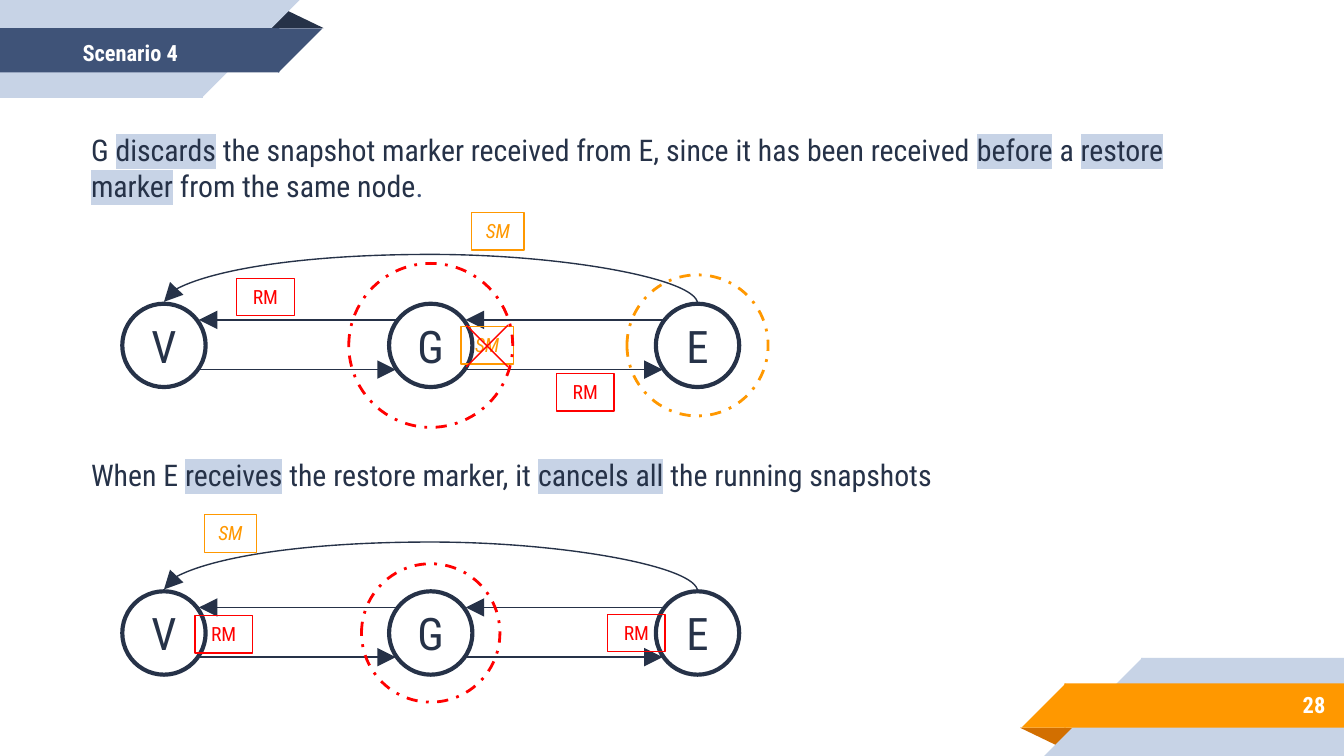
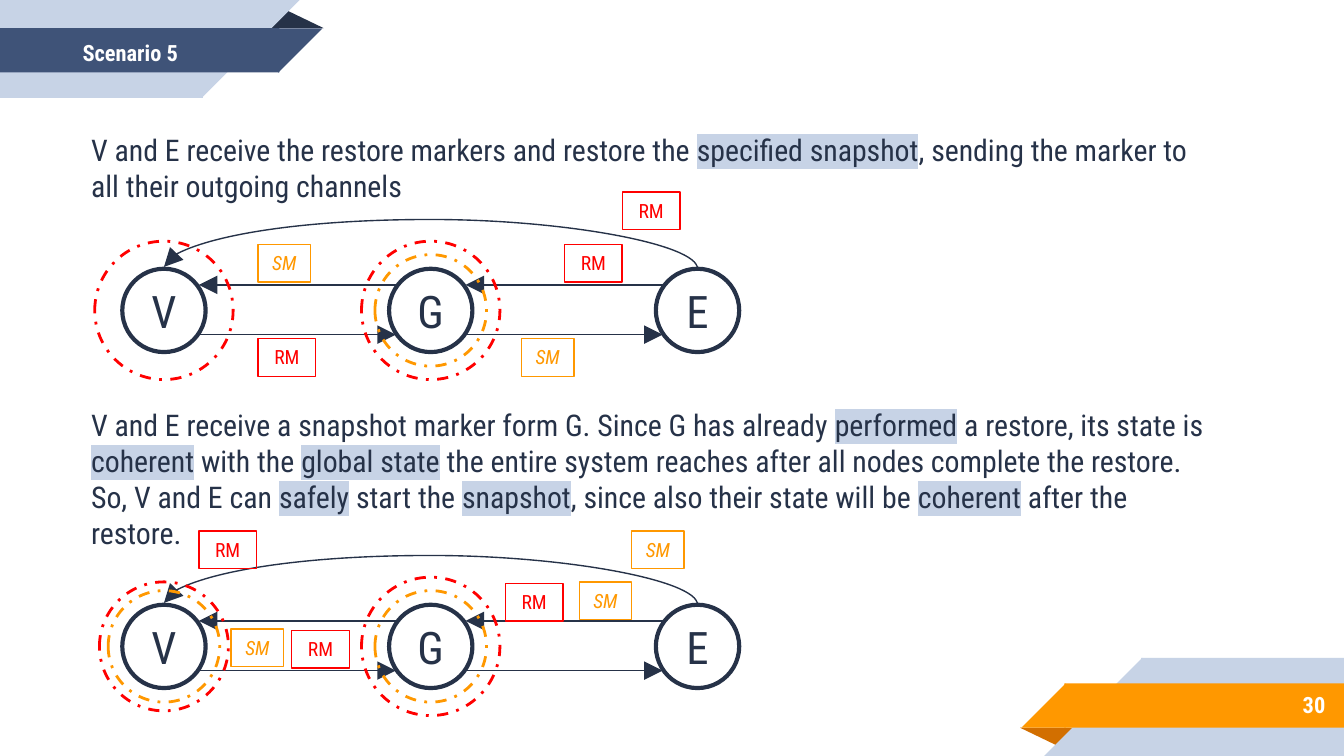
from itertools import pairwise

from pptx import Presentation
from pptx.dml.color import RGBColor
from pptx.enum.dml import MSO_LINE
from pptx.enum.shapes import MSO_CONNECTOR, MSO_SHAPE
from pptx.enum.text import MSO_ANCHOR, MSO_AUTO_SIZE, PP_ALIGN
from pptx.oxml.ns import qn
from pptx.util import Inches, Pt
from lxml.etree import SubElement

NAVY = RGBColor(0x26, 0x32, 0x48)
BLUE = RGBColor(0x3F, 0x53, 0x78)
PALE = RGBColor(0xC7, 0xD3, 0xE6)
ORANGE = RGBColor(0xFF, 0x98, 0x00)
RUST = RGBColor(0xD2, 0x6F, 0x00)
RED = RGBColor(0xFF, 0x00, 0x00)
WHITE = RGBColor(0xFF, 0xFF, 0xFF)
FONT = "Roboto Condensed"

WIDTH = 10
HEIGHT = WIDTH * 9 / 16
NODES = "VGE"
NODE_SIZE, FIRST_LEFT, LAST_LEFT = 0.62, 0.91, 4.88
NODE_PITCH = (LAST_LEFT - FIRST_LEFT) / (len(NODES) - 1)
CENTRES = {name: FIRST_LEFT + NODE_SIZE / 2 + i * NODE_PITCH
           for i, name in enumerate(NODES)}
# marker kind: width, colour, italic
MARKERS = {"RM": (0.43, RED, False), "SM": (0.39, ORANGE, True)}
MARKER_HEIGHT = 0.28

# Starred words are highlighted. Rings: node, diameter, colour.
# Markers: kind, left, top. A cross is a left, top, size square.
SCENARIOS = [
    {"title": "Scenario 4", "page": "28", "steps": [
        {"text": "G *discards* the snapshot marker received from E, since it has been "
                 "received *before* a *restore marker* from the same node",
         "full_stop": ".", "text_top": 0.93, "text_height": 0.64, "node_top": 2.26,
         "rings": [("G", 1.22, RED), ("E", 1.05, ORANGE)],
         "markers": [("RM", 1.76, 2.07), ("RM", 4.14, 2.78),
                     ("SM", 3.43, 2.43), ("SM", 3.51, 1.58)],
         "cross": (3.47, 2.42, 0.31)},
        {"text": "When E *receives* the restore marker, it *cancels all* the running "
                 "snapshots",
         "text_top": 3.35, "text_height": 0.37, "node_top": 4.4,
         "rings": [("G", 1.03, RED)],
         "markers": [("RM", 1.45, 4.58), ("RM", 4.52, 4.57), ("SM", 1.52, 3.83)]},
    ]},
    {"title": "Scenario 5", "page": "30", "steps": [
        {"text": "V and E receive the restore markers and restore the *specified "
                 "snapshot*, sending the marker to all their outgoing channels",
         "text_top": 0.93, "text_height": 0.64, "node_top": 2.0,
         "rings": [("G", 0.83, ORANGE), ("G", 1.03, RED), ("V", 1.03, RED)],
         "markers": [("RM", 4.63, 1.43), ("SM", 1.92, 1.82), ("RM", 1.92, 2.52),
                     ("RM", 4.2, 1.82), ("SM", 3.88, 2.52)]},
        {"text": "V and E receive a snapshot marker form G. Since G has already "
                 "*performed* a restore, its state is *coherent* with the *global "
                 "state* the entire system reaches after all nodes complete the "
                 "restore. So, V and E can *safely* start the *snapshot*, since also "
                 "their state will be *coherent* after the restore.",
         "text_top": 2.98, "text_height": 0.91, "node_top": 4.5,
         "rings": [("G", 1.03, RED), ("V", 0.96, RED),
                   ("G", 0.83, ORANGE), ("V", 0.83, ORANGE)],
         "markers": [("RM", 2.17, 4.69), ("RM", 3.76, 4.34), ("SM", 1.72, 4.68),
                     ("RM", 1.48, 3.95), ("SM", 4.31, 4.33), ("SM", 4.7, 3.95)]},
    ]},
]

# shape, left, top, width, height, colour
TOP_BAND = [
    (MSO_SHAPE.ISOSCELES_TRIANGLE, 1.98, 0.07, 0.43, 0.14, NAVY),
    (MSO_SHAPE.RECTANGLE, 0, 0, 1.51, 0.73, PALE),
    (MSO_SHAPE.RIGHT_TRIANGLE, 1.5, 0, 0.73, 0.73, PALE),
    (MSO_SHAPE.RECTANGLE, 0, 0.21, 2.08, 0.33, BLUE),
    (MSO_SHAPE.RIGHT_TRIANGLE, 2.07, 0.21, 0.33, 0.33, BLUE),
]
BOTTOM_COLOURS = {NAVY: RUST, PALE: PALE, BLUE: ORANGE}


def add_outline(slide, preset, box, fill=None, line=None, weight=0.75):
    shape = slide.shapes.add_shape(preset, *map(Inches, box))
    shape.shadow.inherit = False
    if fill is None:
        shape.fill.background()
    else:
        shape.fill.solid()
        shape.fill.fore_color.rgb = fill
    if line is None:
        shape.line.fill.background()
    else:
        shape.line.color.rgb = line
        shape.line.width = Pt(weight)
    return shape


def add_run(paragraph, text, size, colour, bold=False, italic=False, highlight=None):
    run = paragraph.add_run()
    run.text = text
    font = run.font
    font.name, font.size, font.bold, font.italic = FONT, Pt(size), bold, italic
    font.color.rgb = colour
    if highlight is not None:
        properties = run._r.get_or_add_rPr()
        mark = SubElement(properties, qn("a:highlight"))
        SubElement(mark, qn("a:srgbClr")).set("val", str(highlight))
        properties.find(qn("a:solidFill")).addnext(mark)


def add_bands(slide):
    """Top-left band, and the same band turned half round at the bottom right."""
    for preset, left, top, width, height, colour in TOP_BAND:
        opposite = (WIDTH - left - width, HEIGHT - top - height, width, height)
        upper = add_outline(slide, preset, (left, top, width, height), colour)
        lower = add_outline(slide, preset, opposite, BOTTOM_COLOURS[colour])
        if preset == MSO_SHAPE.ISOSCELES_TRIANGLE:
            upper.adjustments[0] = lower.adjustments[0] = 0.324
            lower.rotation = 180
        elif preset == MSO_SHAPE.RIGHT_TRIANGLE:
            upper.rotation = 180
            for wedge in (upper, lower):
                wedge._element.spPr.find(qn("a:xfrm")).set("flipH", "1")


def add_band_text(slide, box, text, align):
    frame = slide.shapes.add_textbox(*map(Inches, box)).text_frame
    frame.word_wrap = True
    frame.vertical_anchor = MSO_ANCHOR.MIDDLE
    frame.margin_top = frame.margin_bottom = Inches(0.1)
    frame.paragraphs[0].alignment = align
    add_run(frame.paragraphs[0], text, 12, WHITE, bold=True)


def add_statement(slide, step):
    box = (0.58, step["text_top"], 8.57, step["text_height"])
    frame = slide.shapes.add_textbox(*map(Inches, box)).text_frame
    frame.word_wrap = True
    frame.auto_size = MSO_AUTO_SIZE.SHAPE_TO_FIT_TEXT
    paragraph = frame.paragraphs[0]
    for i, part in enumerate(step["text"].split("*")):
        add_run(paragraph, part, 16, NAVY, highlight=PALE if i % 2 else None)
    if "full_stop" in step:
        add_run(paragraph, step["full_stop"], 16, BLUE)


def add_line(slide, start, end, colour=NAVY, arrow=True, kind=MSO_CONNECTOR.STRAIGHT):
    line = slide.shapes.add_connector(kind, *map(Inches, (*start, *end)))
    line.line.color.rgb = colour
    line.line.width = Pt(0.75)
    if arrow:
        head = SubElement(line.line._get_or_add_ln(), qn("a:tailEnd"))
        for key, value in (("type", "triangle"), ("w", "lg"), ("len", "lg")):
            head.set(key, value)
    SubElement(line._element.spPr, qn("a:effectLst"))
    return line


def add_arc(slide, node_top):
    """Curved channel from the top of E over G to the top of V."""
    rise, span = 1 / 72, CENTRES["E"] - CENTRES["V"]
    left = CENTRES["G"] - rise / 2
    top = node_top - rise / 2 - span / 2
    arc = add_line(slide, (left, top), (left + rise, top + span),
                   kind=MSO_CONNECTOR.CURVE)
    properties = arc._element.spPr
    frame = properties.find(qn("a:xfrm"))
    frame.set("rot", str(270 * 60000))
    frame.set("flipV", "1")
    geometry = properties.find(qn("a:prstGeom"))
    values = geometry.find(qn("a:avLst"))
    if values is None:
        values = SubElement(geometry, qn("a:avLst"))
    bend = SubElement(values, qn("a:gd"))
    bend.set("name", "adj1")
    bend.set("fmla", "val 2661200")


def add_circle(slide, name, node_top, diameter, colour, weight):
    box = (CENTRES[name] - diameter / 2, node_top + (NODE_SIZE - diameter) / 2,
           diameter, diameter)
    return add_outline(slide, MSO_SHAPE.OVAL, box, line=colour, weight=weight)


def add_network(slide, node_top):
    for left_node, right_node in pairwise(NODES):
        start, end = CENTRES[left_node] + 0.26, CENTRES[right_node] - 0.26
        back, forth = node_top + 0.12, node_top + 0.49
        add_line(slide, (end, back), (start, back))
        add_line(slide, (start, forth), (end, forth))
    for name in NODES:
        frame = add_circle(slide, name, node_top, NODE_SIZE, NAVY, 2.25).text_frame
        frame.vertical_anchor = MSO_ANCHOR.MIDDLE
        frame.paragraphs[0].alignment = PP_ALIGN.CENTER
        add_run(frame.paragraphs[0], name, 24, NAVY)
    add_arc(slide, node_top)


def add_marker(slide, kind, left, top):
    width, colour, italic = MARKERS[kind]
    frame = add_outline(slide, MSO_SHAPE.RECTANGLE, (left, top, width, MARKER_HEIGHT),
                        line=colour).text_frame
    frame.word_wrap = True
    frame.auto_size = MSO_AUTO_SIZE.SHAPE_TO_FIT_TEXT
    frame.vertical_anchor = MSO_ANCHOR.TOP
    frame.paragraphs[0].alignment = PP_ALIGN.CENTER
    add_run(frame.paragraphs[0], kind, 10.5, colour, italic=italic)


def add_step(slide, step):
    add_statement(slide, step)
    add_network(slide, step["node_top"])
    for marker in step["markers"]:
        add_marker(slide, *marker)
    if "cross" in step:
        left, top, size = step["cross"]
        right, bottom = left + size, top + size
        add_line(slide, (right, top), (left, bottom), RED, arrow=False)
        add_line(slide, (left, top), (right, bottom), RED, arrow=False)
    for name, diameter, colour in step["rings"]:
        ring = add_circle(slide, name, step["node_top"], diameter, colour, 1.5)
        ring.line.dash_style = MSO_LINE.DASH_DOT


def main():
    deck = Presentation()
    deck.slide_width, deck.slide_height = Inches(WIDTH), Inches(HEIGHT)
    for scenario in SCENARIOS:
        slide = deck.slides.add_slide(deck.slide_layouts[6])
        add_bands(slide)
        add_band_text(slide, (8.33, 5.07, 1.63, 0.35), scenario["page"], PP_ALIGN.RIGHT)
        add_band_text(slide, (-0.11, 0.23, 2.16, 0.33), scenario["title"],
                      PP_ALIGN.CENTER)
        for step in scenario["steps"]:
            add_step(slide, step)
    deck.save("out.pptx")


if __name__ == "__main__":
    main()
